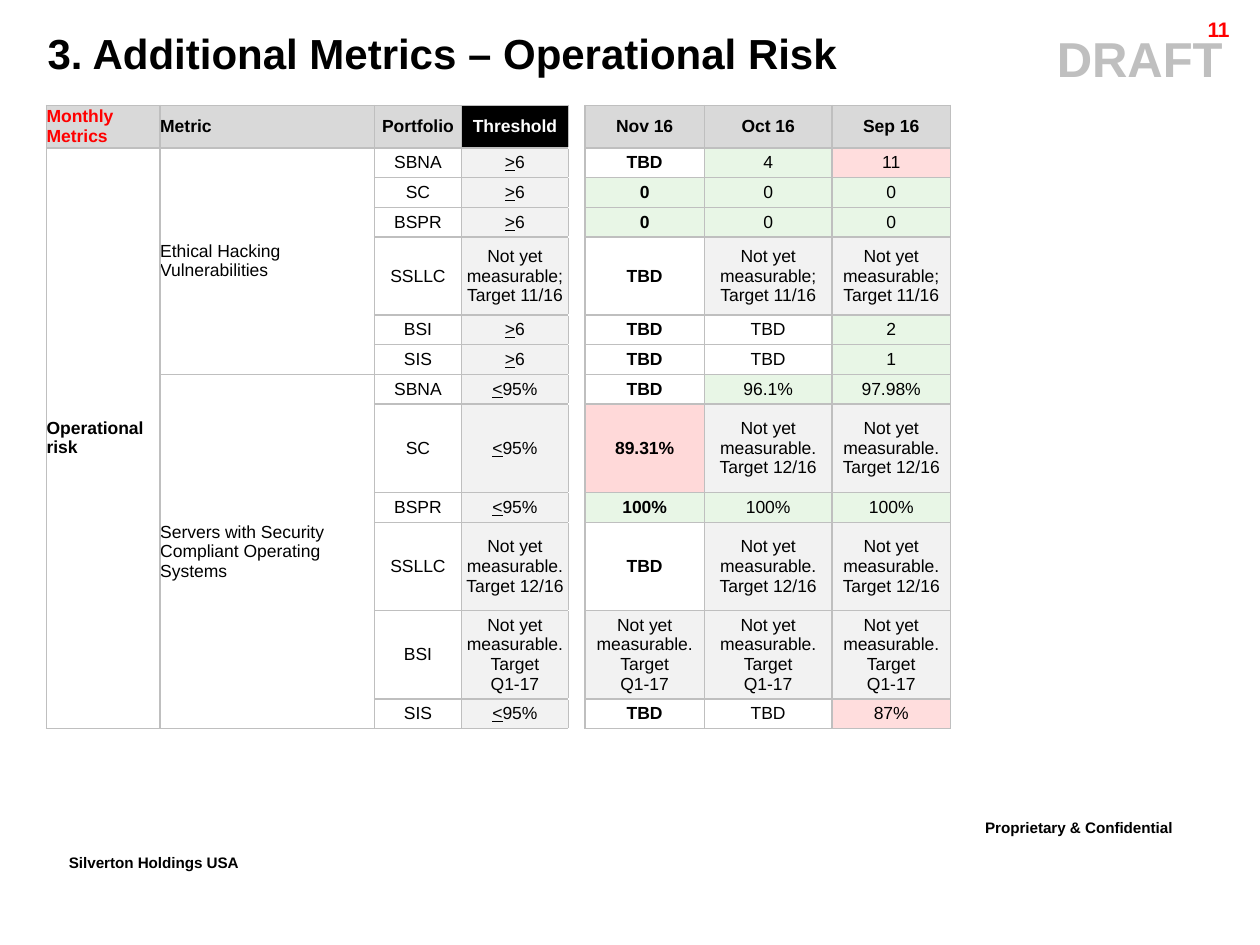
from lxml import etree
from pptx import Presentation
from pptx.dml.color import RGBColor
from pptx.enum.text import MSO_ANCHOR, PP_ALIGN
from pptx.oxml.ns import qn
from pptx.util import Cm, Pt

LEFT, CENTER, RIGHT = PP_ALIGN.LEFT, PP_ALIGN.CENTER, PP_ALIGN.RIGHT
MIDDLE = MSO_ANCHOR.MIDDLE

BLACK, WHITE, RED = "000000", "FFFFFF", "FF0000"
BORDER, HEADER, GREY, GREEN = "BFBFBF", "D9D9D9", "F2F2F2", "E8F6E6"
BREACHES = {"11": "FFDDDD", "89.31%": "FFD9D9", "87%": "FFDDDD"}

CATEGORY, METRIC, PORTFOLIO, THRESHOLD, GAP, LATEST = range(6)
COLUMN_WIDTHS = [2.29, 4.32, 1.75, 2.16, 0.33, 2.41, 2.57, 2.39]
HEADER_HEIGHT, ROW_HEIGHT = 0.84, 0.6
TALL_ROWS = {4: 1.57, 8: 1.78, 10: 1.78, 11: 1.78}

NOVEMBER = "Not yet measurable; Target 11/16"
NOVEMBER_LINES = "Not yet\nmeasurable;\nTarget 11/16"
DECEMBER = "Not yet measurable. Target 12/16"
DECEMBER_LINES = "Not yet\nmeasurable. Target 12/16"
QUARTER_LINES = "Not yet\nmeasurable. Target\nQ1-17"

HEADINGS = ["Monthly Metrics", "Metric", "Portfolio", "Threshold", "",
            "Nov 16", "Oct 16", "Sep 16"]
# Portfolio, threshold, then the latest three months
HACKING = [
    ("SBNA", ">6", "TBD", "4", "11"),
    ("SC", ">6", "0", "0", "0"),
    ("BSPR", ">6", "0", "0", "0"),
    ("SSLLC", NOVEMBER, "TBD", NOVEMBER_LINES, NOVEMBER_LINES),
    ("BSI", ">6", "TBD", "TBD", "2"),
    ("SIS", ">6", "TBD", "TBD", "1"),
]
SERVERS = [
    ("SBNA", "<95%", "TBD", "96.1%", "97.98%"),
    ("SC", "<95%", "89.31%", DECEMBER_LINES, DECEMBER_LINES),
    ("BSPR", "<95%", "100%", "100%", "100%"),
    ("SSLLC", DECEMBER, "TBD", DECEMBER_LINES, DECEMBER_LINES),
    ("BSI",) + (QUARTER_LINES,) * 4,
    ("SIS", "<95%", "TBD", "TBD", "87%"),
]


def color(hex_value):
    return RGBColor.from_string(hex_value)


def table_rows():
    """Return the full grid of cell texts, headings included."""
    rows = [HEADINGS]
    for metric, group in (
        ("Ethical Hacking Vulnerabilities", HACKING),
        ("Servers with Security Compliant Operating Systems", SERVERS),
    ):
        for index, (portfolio, threshold, *months) in enumerate(group):
            category = "Operational risk" if len(rows) == 1 else ""
            rows.append([category, "" if index else metric,
                         portfolio, threshold, "", *months])
    return rows


def cell_fill(row, column, text):
    """Return the fill that the position and value call for, or None."""
    if column == GAP:
        return None
    if row == 0:
        return BLACK if column == THRESHOLD else HEADER
    if column == THRESHOLD or text.startswith("Not yet"):
        return GREY
    if column < LATEST or text == "TBD":
        return None
    return BREACHES.get(text, GREEN)


def cell_color(row, column):
    if row == 0:
        return {CATEGORY: RED, THRESHOLD: WHITE}.get(column, BLACK)
    return BLACK


class SlideBuilder:
    font_name = "Arial"
    table_size = 10

    def __init__(self, presentation):
        self.slide = presentation.slides.add_slide(presentation.slide_layouts[6])

    def style_run(self, run, size, hex_value, bold):
        run.font.name = self.font_name
        run.font.size = Pt(size)
        run.font.bold = bold
        run.font.color.rgb = color(hex_value)

    def text(self, content, left, top, width, height, size, hex_value=BLACK,
             align=LEFT, wrap=True):
        shape = self.slide.shapes.add_textbox(Cm(left), Cm(top), Cm(width), Cm(height))
        frame = shape.text_frame
        frame.word_wrap = wrap
        frame.text = content
        paragraph = frame.paragraphs[0]
        paragraph.alignment = align
        self.style_run(paragraph.runs[0], size, hex_value, True)
        return paragraph

    def footer(self, content, left, top, width, wrap=True):
        """Add a footer line in raised type."""
        paragraph = self.text(content, left, top, width, 0.89, 15, wrap=wrap)
        paragraph.runs[0].font._element.set("baseline", "30000")

    def borders(self, cell, sides):
        properties = cell._tc.get_or_add_tcPr()
        for side in sides:
            line = etree.SubElement(properties, qn(f"a:ln{side}"), w=str(Pt(1)))
            fill = etree.SubElement(line, qn("a:solidFill"))
            etree.SubElement(fill, qn("a:srgbClr"), val=BORDER)

    def cell(self, cell, row, column, content):
        cell.margin_left = cell.margin_right = 0
        cell.margin_top = cell.margin_bottom = 0
        cell.vertical_anchor = MIDDLE
        self.borders(cell, "LR" if column == GAP else "LRTB")
        fill = cell_fill(row, column, content)
        if fill:
            cell.fill.solid()
            cell.fill.fore_color.rgb = color(fill)
        else:
            cell.fill.background()

        frame = cell.text_frame
        frame.text = content
        bold = (row == 0 or column == CATEGORY
                or column == LATEST and fill != GREY)
        limit = content[:1] in ("<", ">")
        if limit:
            paragraph = frame.paragraphs[0]
            paragraph.runs[0].text = content[0]
            paragraph.runs[0].font.underline = True
            paragraph.add_run().text = content[1:]
        for paragraph in frame.paragraphs:
            paragraph.alignment = LEFT if column <= METRIC else CENTER
            for run in paragraph.runs:
                self.style_run(run, self.table_size, cell_color(row, column), bold)
            if not paragraph.runs:
                # Keeps an empty cell from stretching its row
                etree.SubElement(paragraph._p, qn("a:endParaRPr"),
                                 sz=str(self.table_size * 100))

    def table(self, rows, left, top):
        heights = [HEADER_HEIGHT] + [TALL_ROWS.get(row, ROW_HEIGHT)
                                     for row in range(1, len(rows))]
        table = self.slide.shapes.add_table(
            len(rows), len(COLUMN_WIDTHS), Cm(left), Cm(top),
            Cm(sum(COLUMN_WIDTHS)), Cm(sum(heights))).table
        table.first_row = table.horz_banding = False
        for column, width in zip(table.columns, COLUMN_WIDTHS):
            column.width = Cm(width)
        for row, height in zip(table.rows, heights):
            row.height = Cm(height)
        for row, contents in enumerate(rows):
            for column, content in enumerate(contents):
                self.cell(table.cell(row, column), row, column, content)
        return table


def main():
    presentation = Presentation()
    presentation.slide_width, presentation.slide_height = Cm(25.4), Cm(19.05)
    builder = SlideBuilder(presentation)

    builder.footer("Proprietary & Confidential", 19.61, 16.31, 5.54)
    builder.footer("Silverton Holdings USA", 1.14, 17.02, 4.85, wrap=False)
    draft = builder.text("DRAFT", 2.92, 0.46, 22.33, 1.45, 28, BORDER, CENTER)
    draft._p.get_or_add_pPr().set("marL", str(Cm(17.78)))
    page_number = builder.text("11", 22.63, 0.28, 2.41, 0.61, 12, RED, RIGHT)
    page_number.line_spacing = 0.86
    builder.text("3. Additional Metrics – Operational Risk",
                 0.71, 0.43, 23.75, 1.27, 24)

    table = builder.table(table_rows(), 0.94, 2.13)
    last_hacking = len(HACKING)
    last_row = last_hacking + len(SERVERS)
    for first, last, column in ((1, last_row, CATEGORY),
                                (1, last_hacking, METRIC),
                                (last_hacking + 1, last_row, METRIC)):
        table.cell(first, column).merge(table.cell(last, column))

    presentation.save("out.pptx")


if __name__ == "__main__":
    main()
